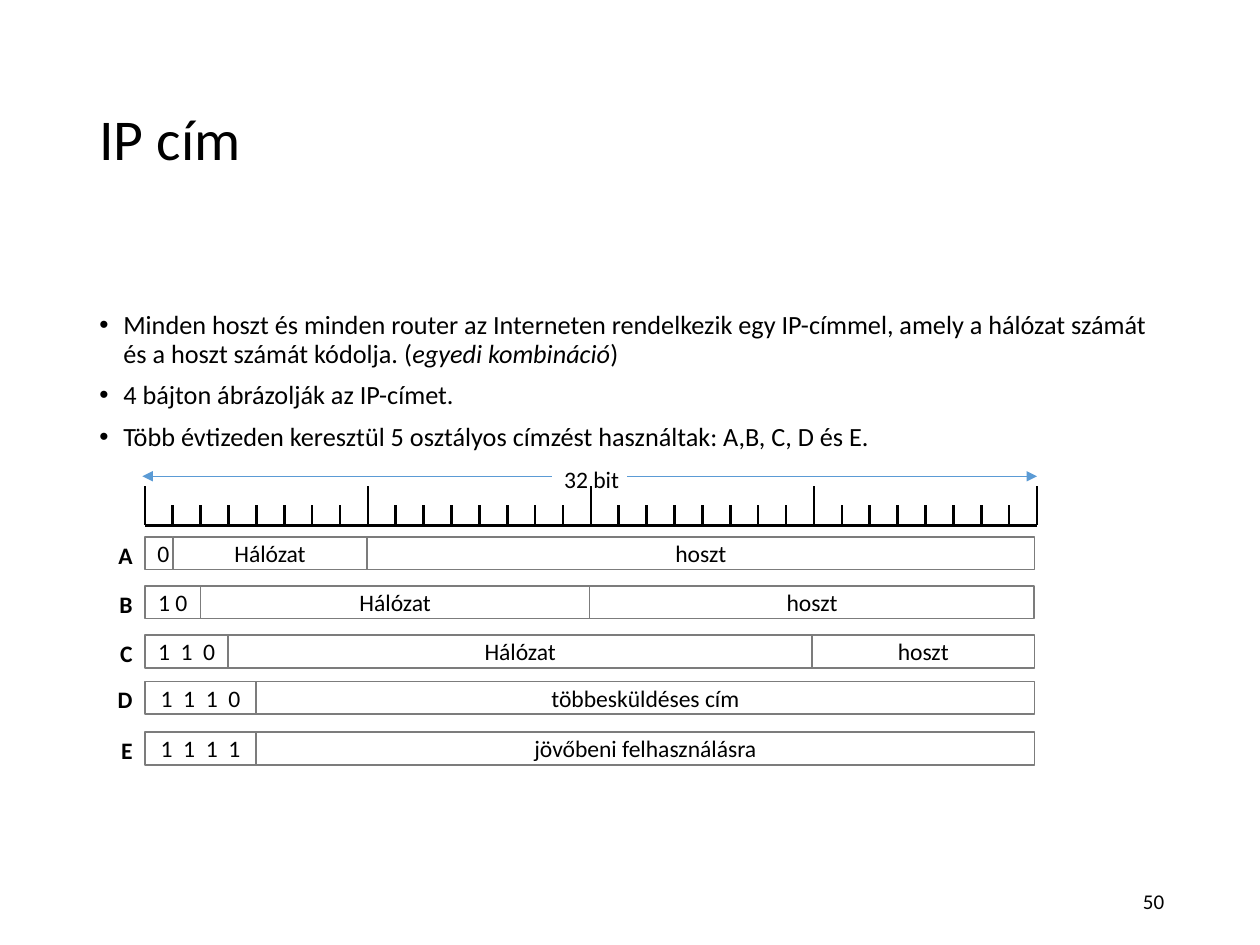
import pptx
import pptx.util
import pptx.dml.color
import pptx.enum.shapes
import pptx.enum.text
import pptx.oxml
import pptx.oxml.ns

Inches = pptx.util.Inches
Pt = pptx.util.Pt
ALIGN = pptx.enum.text.PP_ALIGN
MIDDLE = pptx.enum.text.MSO_ANCHOR.MIDDLE
BLACK, GRAY, BLUE = "000000", "7C7C7C", "5B9BD5"

POINTS = [
    [("Minden hoszt és minden router az Interneten rendelkezik egy IP-címmel, "
      "amely a hálózat számát és a hoszt számát kódolja. (", False),
     ("egyedi kombináció", True), (")", False)],
    [("4 bájton ábrázolják az IP-címet.", False)],
    [("Több évtizeden keresztül 5 osztályos címzést használtak: A,B, C, D és E.", False)],
]
ROWS = [
    ("A", 0, [(1, "0"), (7, "Hálózat"), (24, "hoszt")]),
    ("B", 0.39, [(2, "1 0"), (14, "Hálózat"), (16, "hoszt")]),
    ("C", 0.78, [(3, "1  1  0"), (21, "Hálózat"), (8, "hoszt")]),
    ("D", 1.15, [(4, "1  1  1  0"), (28, "többesküldéses cím")]),
    ("E", 1.55, [(4, "1  1  1  1"), (28, "jövőbeni felhasználásra")]),
]


def color(code):
    """Turn a hex string into a colour."""
    return pptx.dml.color.RGBColor.from_string(code)


def add_run(para, text, size, bold=False, italic=False):
    """Add one styled run to a paragraph."""
    run = para.add_run()
    run.text = text
    font = run.font
    font.name, font.size = "Calibri", Pt(size)
    font.bold, font.italic = bold, italic
    font.color.rgb = color(BLACK)


def add_box(slide, left, top, width, height, wrap=True, anchor=None):
    """Add a text box and return its frame."""
    box = slide.shapes.add_textbox(Inches(left), Inches(top), Inches(width), Inches(height))
    frame = box.text_frame
    frame.word_wrap = wrap
    frame.vertical_anchor = anchor
    return frame


def add_line(slide, start, end, code, width, arrow=False):
    """Draw a line, with an arrowhead at its end on demand."""
    line = slide.shapes.add_connector(
        pptx.enum.shapes.MSO_CONNECTOR.STRAIGHT, *map(Inches, start + end))
    line.line.color.rgb = color(code)
    line.line.width = Pt(width)
    props = line._element.spPr
    if arrow:
        tip = pptx.oxml.parse_xml(f'<a:tailEnd {pptx.oxml.ns.nsdecls("a")} type="triangle"/>')
        line.line._get_or_add_ln().append(tip)
    props.append(pptx.oxml.parse_xml(f'<a:effectLst {pptx.oxml.ns.nsdecls("a")}/>'))


def add_title(slide, left, top, width, height):
    """Place the slide title."""
    para = add_box(slide, left, top, width, height, anchor=MIDDLE).paragraphs[0]
    para.line_spacing = 0.9
    add_run(para, "IP cím", 33)


def add_points(slide, left, top, width, height):
    """Place the bulleted points."""
    frame = add_box(slide, left, top, width, height)
    for i, runs in enumerate(POINTS):
        para = frame.add_paragraph() if i else frame.paragraphs[0]
        props = para._p.get_or_add_pPr()
        props.set("marL", str(Inches(0.19)))
        props.set("indent", str(-Inches(0.19)))
        props.append(pptx.oxml.parse_xml(
            f'<a:buFont {pptx.oxml.ns.nsdecls("a")} typeface="Arial"/>'))
        props.append(pptx.oxml.parse_xml(f'<a:buChar {pptx.oxml.ns.nsdecls("a")} char="•"/>'))
        para.line_spacing = 0.9
        para.space_before = Pt(7.5 if i else 0)
        for text, italic in runs:
            add_run(para, text, 15, italic=italic)


def add_ruler(slide, left, top, width, height):
    """Draw the 32-bit scale under its double arrow."""
    base = top + height
    add_line(slide, (left, base), (left + width, base), BLACK, 1.5)
    for bit in range(33):
        x = left + bit * width / 32
        rise = 0.31 if bit % 8 == 0 else 0.16
        add_line(slide, (x, base - rise), (x, base), BLACK, 1.5)
    frame = add_box(slide, left + 3.23, top - 0.14, 0.64, 0.33, wrap=False)
    add_run(frame.paragraphs[0], "32 bit", 13.5)
    add_line(slide, (left + 3.83, top), (left + width, top), BLUE, 0.5, True)
    add_line(slide, (left + 3.23, top), (left - 0.02, top), BLUE, 0.5, True)


def add_field(slide, left, top, width, height, text):
    """Draw one outlined address field."""
    field = slide.shapes.add_shape(
        pptx.enum.shapes.MSO_SHAPE.RECTANGLE,
        Inches(left), Inches(top), Inches(width), Inches(height))
    field.shadow.inherit = False
    field.fill.background()
    field.line.color.rgb = color(GRAY)
    field.line.width = Pt(1)
    frame = field.text_frame
    frame.word_wrap = True
    frame.vertical_anchor = MIDDLE
    para = frame.paragraphs[0]
    para.alignment = ALIGN.CENTER
    add_run(para, text, 13.5)


def add_rows(slide, left, top, width, height):
    """Draw the address classes, each field as wide as its bits."""
    for name, drop, fields in ROWS:
        y, bit = top + drop, 0
        for bits, text in fields:
            add_field(slide, left + bit * width / 32, y, bits * width / 32, height, text)
            bit += bits
        para = add_box(slide, 0, y - 0.02, left, 0.33).paragraphs[0]
        para.alignment = ALIGN.RIGHT
        add_run(para, name, 13.5, bold=True)


def add_number(slide, left, top, width, height):
    """Place the slide number."""
    frame = add_box(slide, left, top, width, height, anchor=MIDDLE)
    frame.margin_left = frame.margin_right = Inches(0.07)
    frame.margin_top = frame.margin_bottom = Inches(0.04)
    para = frame.paragraphs[0]
    para.alignment = ALIGN.RIGHT
    add_run(para, "50", 12)


def main():
    """Build and save the slide."""
    deck = pptx.Presentation()
    deck.slide_width, deck.slide_height = Inches(10), Inches(7.5)
    slide = deck.slides.add_slide(deck.slide_layouts[6])
    add_title(slide, 0.69, 0.4, 8.62, 1.45)
    add_points(slide, 0.69, 2.43, 8.62, 1.37)
    add_ruler(slide, 1.15, 3.78, 7.08, 0.39)
    add_rows(slide, 1.15, 4.26, 7.06, 0.26)
    add_number(slide, 7.06, 6.95, 2.25, 0.4)
    deck.save("out.pptx")


if __name__ == "__main__":
    main()
